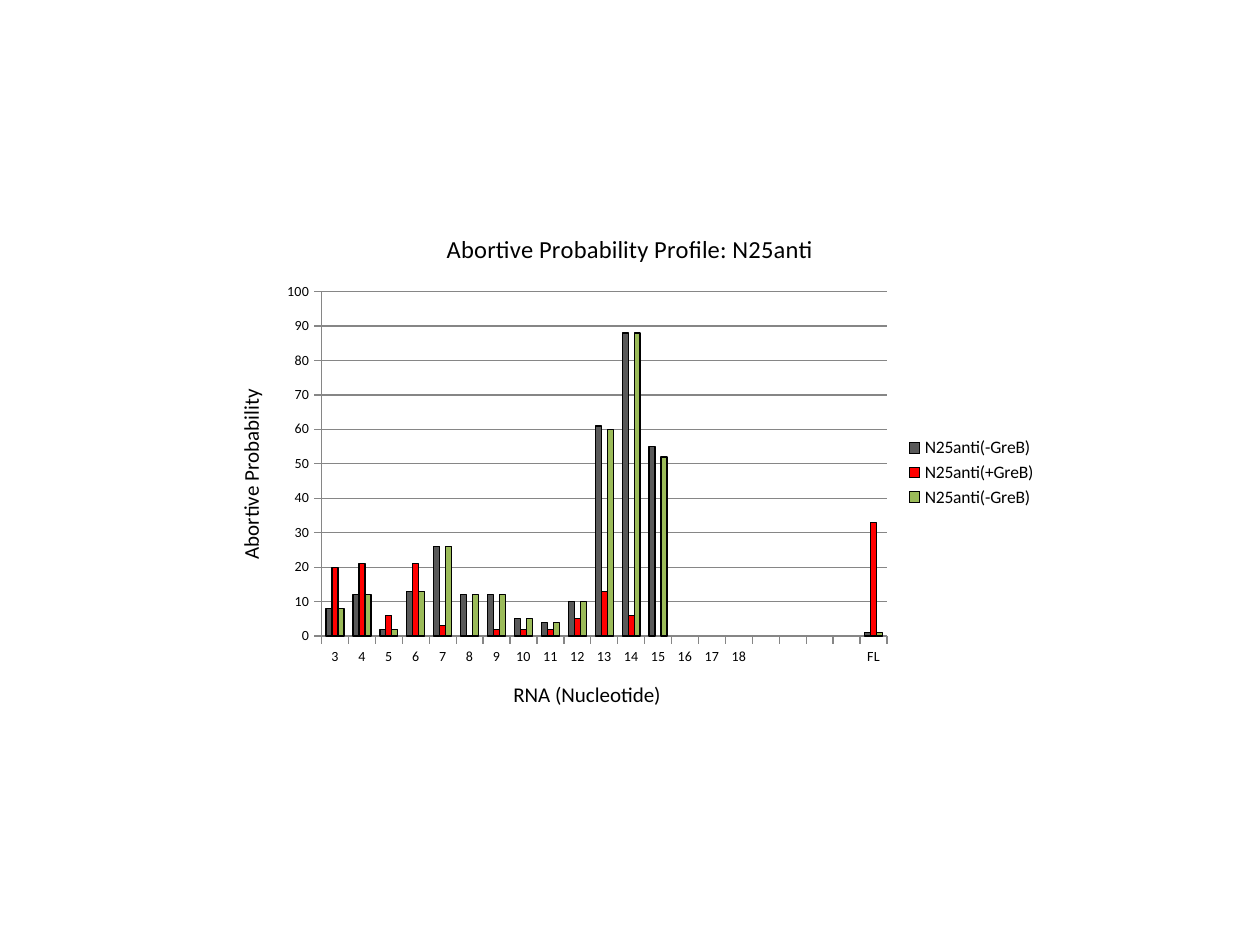
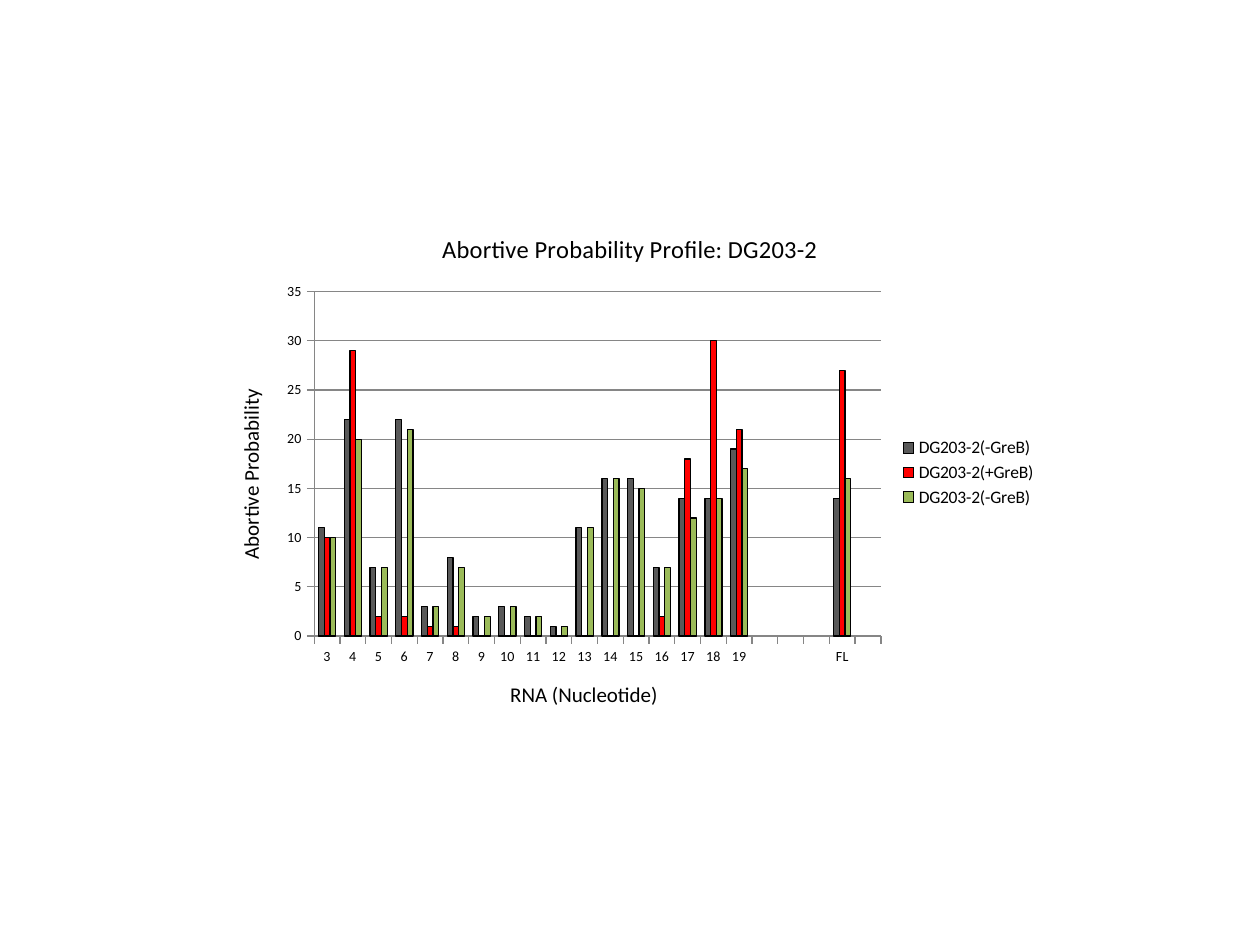
from pptx import Presentation
from pptx.chart.data import CategoryChartData
from pptx.dml.color import RGBColor
from pptx.enum.chart import XL_CHART_TYPE, XL_LEGEND_POSITION, XL_TICK_MARK
from pptx.oxml.ns import qn
from pptx.util import Inches, Pt

BLACK = "000000"
GRID_GRAY = "868686"
SERIES_COLORS = ["595959", "FF0000", "9BBB59"]
SERIES_SUFFIXES = ["(-GreB)", "(+GreB)", "(-GreB)"]
FONT = "Calibri"

PROFILES = [
    {
        "promoter": "N25anti",
        "last_length": 18,
        "blank_count": 4,
        "maximum": 100,
        "step": 10,
        "probabilities": [
            [8, 12, 2, 13, 26, 12, 12, 5, 4, 10, 61, 88, 55] + [None] * 7 + [1],
            [20, 21, 6, 21, 3, 0, 2, 2, 2, 5, 13, 6] + [None] * 8 + [33],
            [8, 12, 2, 13, 26, 12, 12, 5, 4, 10, 60, 88, 52] + [None] * 7 + [1],
        ],
    },
    {
        "promoter": "DG203-2",
        "last_length": 19,
        "blank_count": 3,
        "maximum": 35,
        "step": 5,
        "probabilities": [
            [11, 22, 7, 22, 3, 8, 2, 3, 2, 1, 11, 16, 16, 7, 14, 14, 19]
            + [None] * 3 + [14, None],
            [10, 29, 2, 2, 1, 1, 0, 0, 0, 0, 0, 0, 0, 2, 18, 30, 21]
            + [None] * 3 + [27, None],
            [10, 20, 7, 21, 3, 7, 2, 3, 2, 1, 11, 16, 15, 7, 12, 14, 17]
            + [None] * 3 + [16, None],
        ],
    },
]


def set_color(color_format, hex_color):
    color_format.rgb = RGBColor.from_string(hex_color)


def set_title(title, text, size):
    title.text_frame.text = text
    font = title.text_frame.paragraphs[0].runs[0].font
    font.name = FONT
    font.size = Pt(size)
    font.bold = False
    set_color(font.color, BLACK)


presentation = Presentation()
presentation.slide_width = Inches(10)
presentation.slide_height = Inches(7.5)
blank_layout = presentation.slide_layouts[6]

for profile in PROFILES:
    slide = presentation.slides.add_slide(blank_layout)

    chart_data = CategoryChartData(number_format="0")
    lengths = [str(length) for length in range(3, profile["last_length"] + 1)]
    chart_data.categories = lengths + [""] * profile["blank_count"] + ["FL"]
    for suffix, values in zip(SERIES_SUFFIXES, profile["probabilities"]):
        chart_data.add_series(profile["promoter"] + suffix, values)

    chart = slide.shapes.add_chart(
        XL_CHART_TYPE.COLUMN_CLUSTERED,
        Inches(1.67), Inches(1.67), Inches(6.66), Inches(4.16), chart_data,
    ).chart
    chart.font.name = FONT
    chart.font.size = Pt(10)
    set_color(chart.font.color, BLACK)
    chart.has_title = True
    set_title(chart.chart_title, f"Abortive Probability Profile: {profile['promoter']}", 14)
    chart.has_legend = True
    chart.legend.position = XL_LEGEND_POSITION.RIGHT
    chart.legend.include_in_layout = False

    plot = chart.plots[0]
    plot.gap_width = 150
    plot.overlap = 0
    plot.vary_by_categories = False
    for series, color in zip(plot.series, SERIES_COLORS):
        series.invert_if_negative = False
        series.format.fill.solid()
        set_color(series.format.fill.fore_color, color)
        set_color(series.format.line.color, BLACK)
        series.format.line.width = Pt(0.75)

    axis_titles = [
        (chart.category_axis, "RNA (Nucleotide)"),
        (chart.value_axis, "Abortive Probability"),
    ]
    for axis, title in axis_titles:
        set_title(axis.axis_title, title, 12)
        axis.major_tick_mark = XL_TICK_MARK.OUTSIDE
        axis.minor_tick_mark = XL_TICK_MARK.NONE
        axis.tick_labels.font.size = Pt(8)
        set_color(axis.format.line.color, GRID_GRAY)
        axis.format.line.width = Pt(0.75)

    value_axis = chart.value_axis
    value_axis.minimum_scale = 0
    value_axis.maximum_scale = profile["maximum"]
    value_axis.major_unit = profile["step"]
    value_axis.tick_labels.number_format = "0"
    value_axis.tick_labels.number_format_is_linked = False
    value_axis.has_major_gridlines = True
    gridline = value_axis.major_gridlines.format.line
    set_color(gridline.color, GRID_GRAY)
    gridline.width = Pt(0.75)
    title_body = value_axis.axis_title._element.find(".//" + qn("a:bodyPr"))
    title_body.set("rot", "-5400000")
    title_body.set("vert", "horz")

presentation.save("out.pptx")
